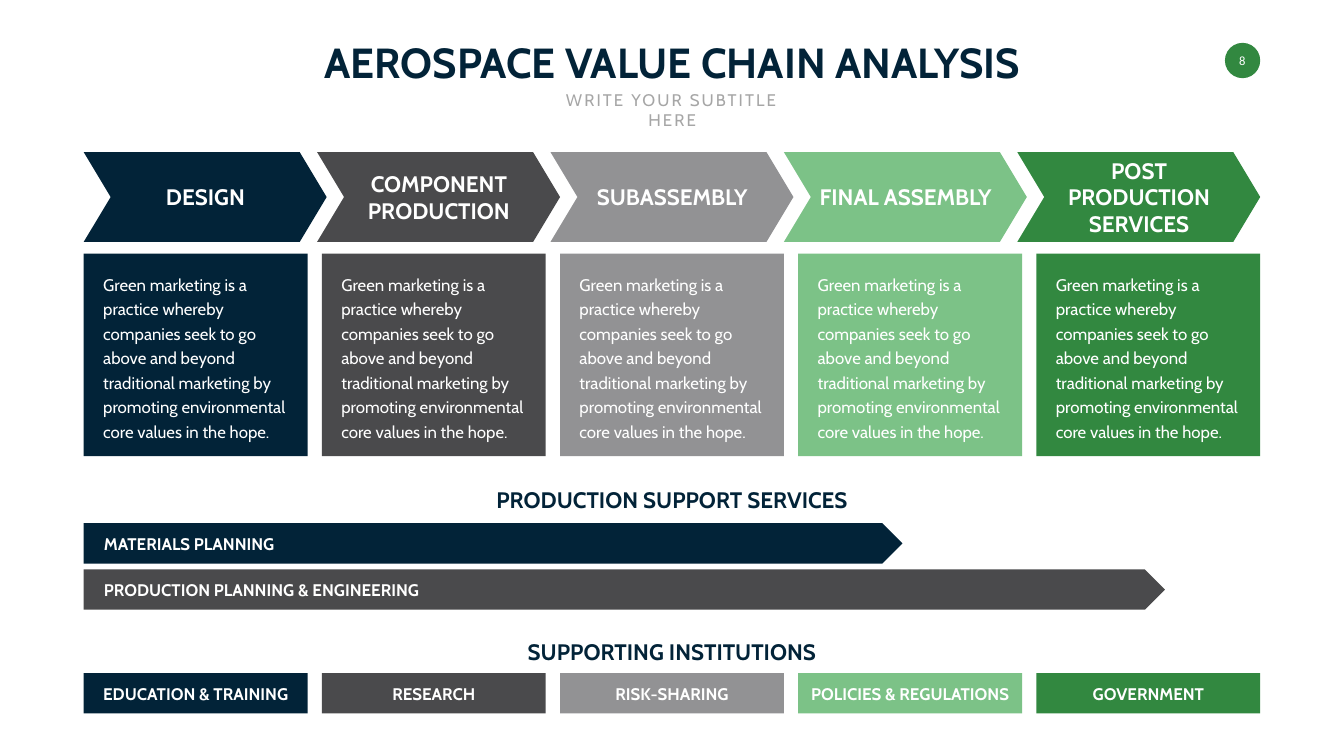
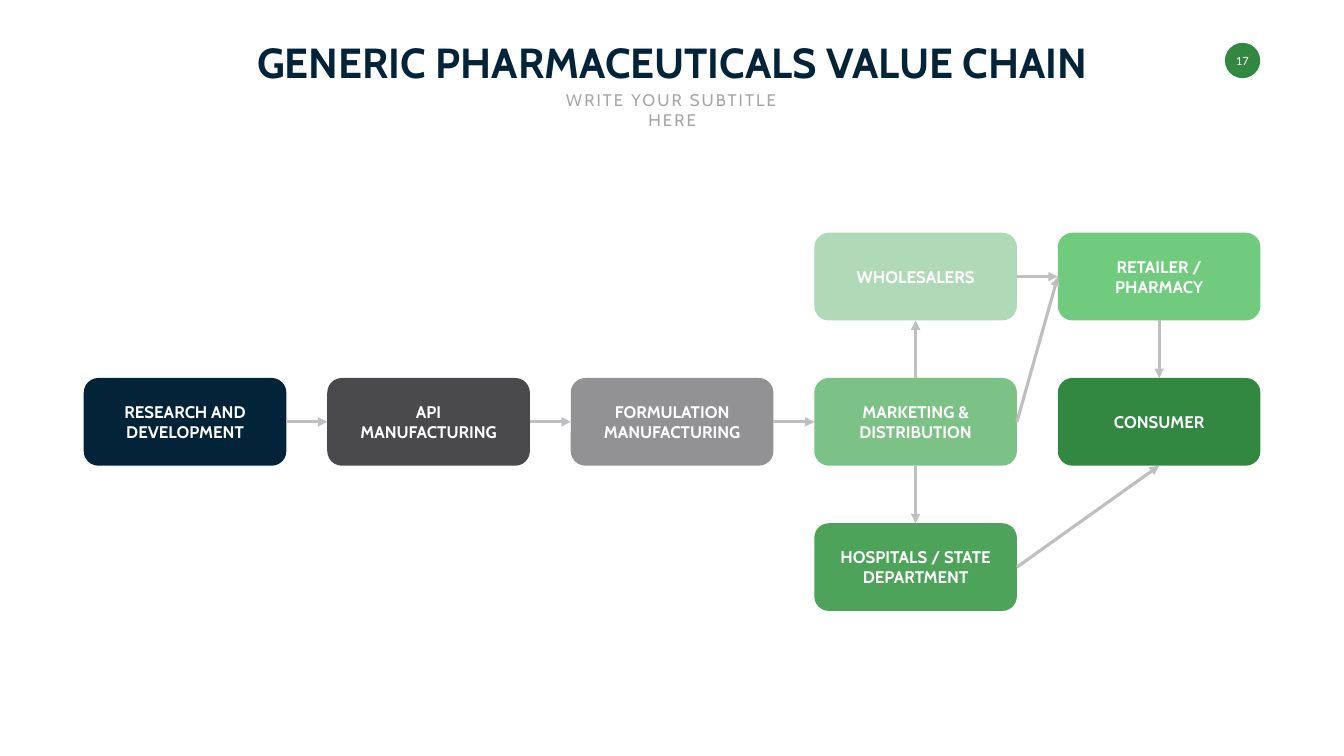
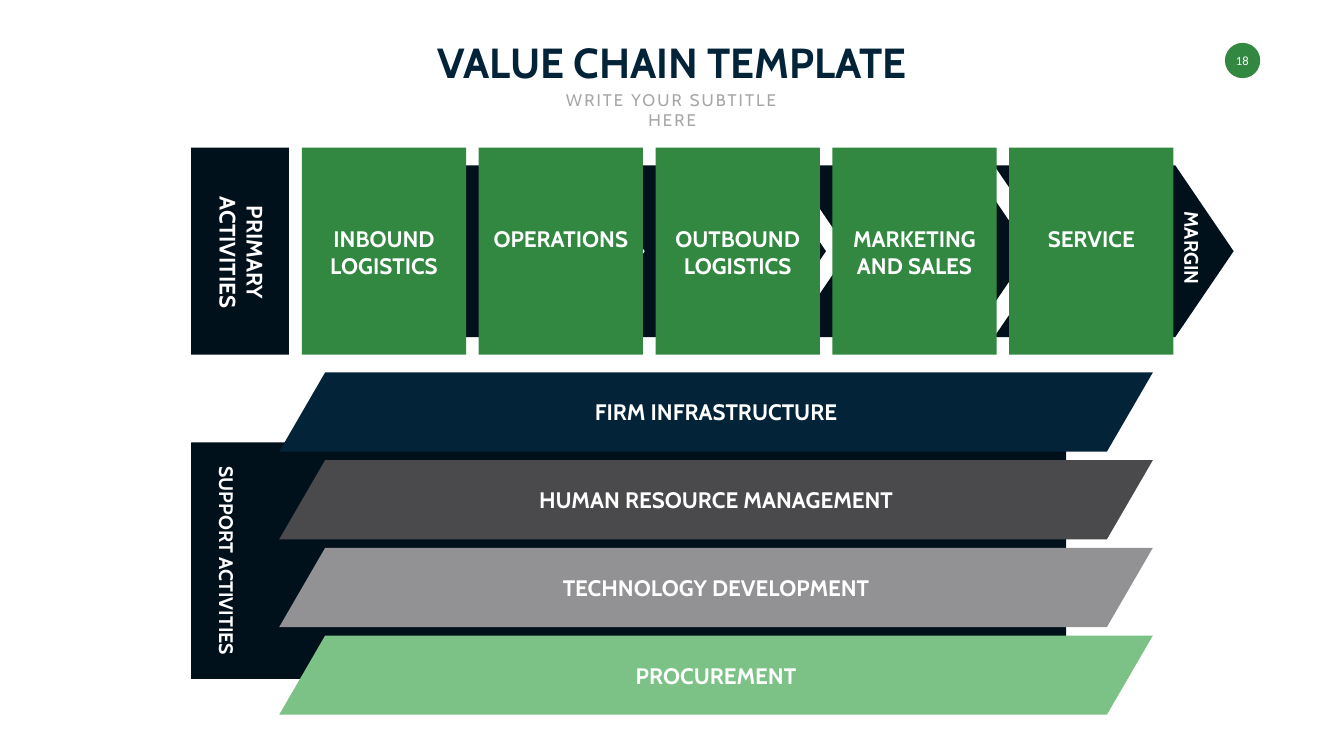
from dataclasses import dataclass

from pptx import Presentation
from pptx.dml.color import RGBColor
from pptx.enum.shapes import MSO_CONNECTOR as Connector, MSO_SHAPE as Preset
from pptx.enum.text import MSO_ANCHOR as Anchor, MSO_AUTO_SIZE as AutoSize, PP_ALIGN as Align
from pptx.oxml.ns import qn
from pptx.util import Cm, Pt
from lxml.etree import SubElement


@dataclass(frozen=True)
class Theme:
    """Colours, fonts and type sizes shared by the slides."""
    navy: str = "022338"
    charcoal: str = "4A4A4C"
    grey: str = "929294"
    mint: str = "7CC287"
    green: str = "328840"
    pale: str = "B0DAB7"
    bright: str = "71CB7F"
    leaf: str = "4CA359"
    ink: str = "01111C"
    white: str = "FFFFFF"
    subtitle: str = "A6A6A6"
    arrow: str = "BFBFBF"
    font: str = "Cabin"
    number_font: str = "Calibri"
    title_size: int = 60
    heading_size: int = 32
    side_size: int = 28
    body_size: int = 24
    number_size: int = 18

    @property
    def ramp(self):
        """Return the five column colours from left to right."""
        return self.navy, self.charcoal, self.grey, self.mint, self.green


THEME = Theme()
SLIDE_W, SLIDE_H = 67.72, 38.1
MIDDLE = SLIDE_W / 2
MARGIN = 4.22
TOP, LEFT, BOTTOM, RIGHT = range(4)
LETTER_EMS = {**dict.fromkeys(" I/-", 0.28), **dict.fromkeys("MWOQGNDUH&", 0.78)}


def block(slide, preset, x, y, w, h, color, bend=None):
    """Draw a plain filled shape."""
    shape = slide.shapes.add_shape(preset, Cm(x), Cm(y), Cm(w), Cm(h))
    shape.shadow.inherit = False
    shape.fill.solid()
    shape.fill.fore_color.rgb = RGBColor.from_string(color)
    shape.line.fill.background()
    if bend is not None:
        shape.adjustments[0] = bend
    return shape


def text(slide, words, x, y, w, h, size, color=THEME.white, bold=True,
         align=Align.CENTER, anchor=Anchor.MIDDLE, wrap=True, font=THEME.font):
    """Write words in a text box, one paragraph a line."""
    box = slide.shapes.add_textbox(Cm(x), Cm(y), Cm(w), Cm(h))
    frame = box.text_frame
    frame.word_wrap = wrap
    frame.auto_size = AutoSize.SHAPE_TO_FIT_TEXT
    frame.vertical_anchor = anchor
    frame.text = words
    for paragraph in frame.paragraphs:
        paragraph.alignment = align
        paragraph.font.name = font
        paragraph.font.size = Pt(size)
        paragraph.font.bold = bold
        paragraph.font.color.rgb = RGBColor.from_string(color)
    return box


def line_ems(line):
    """Return the room a line of capitals needs, in ems."""
    return sum(LETTER_EMS.get(letter, 0.62) for letter in line)


def label(slide, words, center_x, center_y, size, color=THEME.white, turn=0, **style):
    """Centre an unwrapped label on a point, sized from its lines."""
    lines = words.split("\n")
    w = max(map(line_ems, lines)) * Pt(size).cm + 0.55
    h = len(lines) * Pt(size).cm * 1.2 + 0.25
    box = text(slide, words, center_x - w / 2, center_y - h / 2, w, h,
               size, color, wrap=False, **style)
    box.rotation = turn
    return box


def arrow(slide, start, start_side, end, end_side):
    """Join the sides of two boxes with an arrow."""
    link = slide.shapes.add_connector(Connector.STRAIGHT, 0, 0, 0, 0)
    link.begin_connect(start, start_side)
    link.end_connect(end, end_side)
    link.line.width = Pt(4.5)
    link.line.color.rgb = RGBColor.from_string(THEME.arrow)
    SubElement(link.line._get_or_add_ln(), qn("a:tailEnd"), type="triangle")
    SubElement(link._element.spPr, qn("a:effectLst"))


def new_slide(deck, title, number):
    """Add a slide with its number badge, title and subtitle."""
    slide = deck.slides.add_slide(deck.slide_layouts[6])
    block(slide, Preset.OVAL, 61.72, 2.16, 1.78, 1.78, THEME.green)
    label(slide, number, 62.6, 3.05, THEME.number_size, bold=False, font=THEME.number_font)
    label(slide, title, MIDDLE, 3.11, THEME.title_size, THEME.navy)
    subtitle = text(slide, "WRITE YOUR SUBTITLE HERE", 26.97, 4.39, 13.79, 1.27,
                    THEME.body_size, THEME.subtitle, bold=False, anchor=Anchor.TOP)
    subtitle.text_frame.paragraphs[0].runs[0]._r.get_or_add_rPr().set("spc", "300")
    return slide


def stage_column(slide, index, stage, institution):
    """Draw one stage with its chevron, card and institution."""
    color = THEME.ramp[index]
    stage_x, card_x = MARGIN + index * 11.76, MARGIN + index * 12
    card_w = 11.28
    block(slide, Preset.CHEVRON, stage_x, 7.67, 12.24, 4.52, color, 0.3)
    text(slide, stage, stage_x + 1.46, 7.67, 9.35, 4.52, THEME.heading_size)
    block(slide, Preset.RECTANGLE, card_x, 12.78, card_w, 10.21, color)
    summary = text(
        slide,
        "Green marketing is a practice whereby companies seek to go above and beyond "
        "traditional marketing by promoting environmental core values in the hope.",
        card_x + 0.73, 13.49, 9.83, 8.86, THEME.body_size,
        bold=False, align=Align.LEFT, anchor=Anchor.TOP)
    summary.text_frame.paragraphs[0].line_spacing = Pt(35)
    block(slide, Preset.RECTANGLE, card_x, 33.93, card_w, 2.03, color)
    label(slide, institution, card_x + card_w / 2, 34.95, THEME.body_size)


def aerospace_slide(deck):
    """Build the aerospace value chain."""
    slide = new_slide(deck, "AEROSPACE VALUE CHAIN ANALYSIS", "8")
    columns = (
        ("DESIGN", "EDUCATION & TRAINING"),
        ("COMPONENT PRODUCTION", "RESEARCH"),
        ("SUBASSEMBLY", "RISK-SHARING"),
        ("FINAL ASSEMBLY", "POLICIES & REGULATIONS"),
        ("POST PRODUCTION SERVICES", "GOVERNMENT"),
    )
    for index, column in enumerate(columns):
        stage_column(slide, index, *column)

    for heading, y in (("PRODUCTION SUPPORT SERVICES", 25.18),
                       ("SUPPORTING INSTITUTIONS", 32.82)):
        label(slide, heading, MIDDLE, y, THEME.heading_size, THEME.navy)

    services = (
        ("MATERIALS PLANNING", 41.25, 9.86, THEME.navy),
        ("PRODUCTION PLANNING & ENGINEERING", 54.48, 17.53, THEME.charcoal),
    )
    for index, (service, reach, label_w, color) in enumerate(services):
        y = 26.37 + index * 2.33
        block(slide, Preset.PENTAGON, MARGIN, y, reach, 2.03, color)
        text(slide, service, 4.98, y + 0.38, label_w, 1.27, THEME.body_size, align=Align.LEFT)


def pharmaceuticals_slide(deck):
    """Build the pharmaceuticals flow."""
    slide = new_slide(deck, "GENERIC PHARMACEUTICALS VALUE CHAIN", "17")
    step_w, step_h = 10.21, 4.42

    def step(words, column, row, color):
        """Place a labelled step on the grid."""
        x, y = MARGIN + column * 12.27, 11.73 + row * 7.32
        box = block(slide, Preset.ROUNDED_RECTANGLE, x, y, step_w, step_h, color)
        label(slide, words, x + step_w / 2, y + step_h / 2, THEME.body_size)
        return box

    research = step("RESEARCH AND\nDEVELOPMENT", 0, 1, THEME.navy)
    api = step("API\nMANUFACTURING", 1, 1, THEME.charcoal)
    formulation = step("FORMULATION\nMANUFACTURING", 2, 1, THEME.grey)
    marketing = step("MARKETING &\nDISTRIBUTION", 3, 1, THEME.mint)
    consumer = step("CONSUMER", 4, 1, THEME.green)
    wholesalers = step("WHOLESALERS", 3, 0, THEME.pale)
    retailer = step("RETAILER /\nPHARMACY", 4, 0, THEME.bright)
    hospitals = step("HOSPITALS / STATE\nDEPARTMENT", 3, 2, THEME.leaf)

    for route in (
        (research, RIGHT, api, LEFT),
        (api, RIGHT, formulation, LEFT),
        (formulation, RIGHT, marketing, LEFT),
        (marketing, RIGHT, retailer, LEFT),
        (wholesalers, RIGHT, retailer, LEFT),
        (marketing, BOTTOM, hospitals, TOP),
        (retailer, BOTTOM, consumer, TOP),
        (hospitals, RIGHT, consumer, BOTTOM),
        (marketing, TOP, wholesalers, BOTTOM),
    ):
        arrow(slide, *route)


def template_slide(deck):
    """Build the primary and support activities."""
    slide = new_slide(deck, "VALUE CHAIN TEMPLATE", "18")
    side_x, primary_y, primary_h = 9.63, 7.44, 10.44

    block(slide, Preset.RECTANGLE, side_x, 22.3, 44.09, 11.91, THEME.ink)
    label(slide, "SUPPORT ACTIVITIES", 11.44, 28.26, THEME.side_size, turn=90)
    supports = ("FIRM INFRASTRUCTURE", "HUMAN RESOURCE MANAGEMENT",
                "TECHNOLOGY DEVELOPMENT", "PROCUREMENT")
    band_x, band_w, band_h = 14.07, 44.02, 3.99
    for index, support in enumerate(supports):
        y = 18.77 + index * 4.42
        block(slide, Preset.PARALLELOGRAM, band_x, y, band_w, band_h, THEME.ramp[index], 0.58)
        label(slide, support, band_x + band_w / 2, y + band_h / 2, THEME.heading_size)

    for index in range(4):
        block(slide, Preset.CHEVRON, 19.28 + index * 10.27, 8.33, 12.07, 8.66, THEME.ink, 0.34)
    label(slide, "MARGIN", 60.07, 12.51, THEME.side_size, turn=90)

    activities = ("INBOUND\nLOGISTICS", "OPERATIONS", "OUTBOUND\nLOGISTICS",
                  "MARKETING\nAND SALES", "SERVICE")
    activity_w = 8.28
    for index, activity in enumerate(activities):
        x = 15.21 + index * 8.91
        block(slide, Preset.RECTANGLE, x, primary_y, activity_w, primary_h, THEME.green)
        name = label(slide, activity, x + activity_w / 2, 12.7, THEME.heading_size,
                     anchor=Anchor.TOP)
        name.top = Cm(11.23)

    block(slide, Preset.RECTANGLE, side_x, primary_y, 4.93, primary_h, THEME.ink)
    label(slide, "PRIMARY\nACTIVITIES", 12.2, 12.73, THEME.heading_size, turn=90)


def main():
    """Build and save the presentation."""
    deck = Presentation()
    deck.slide_width, deck.slide_height = Cm(SLIDE_W), Cm(SLIDE_H)
    aerospace_slide(deck)
    pharmaceuticals_slide(deck)
    template_slide(deck)
    deck.save("out.pptx")


if __name__ == "__main__":
    main()
